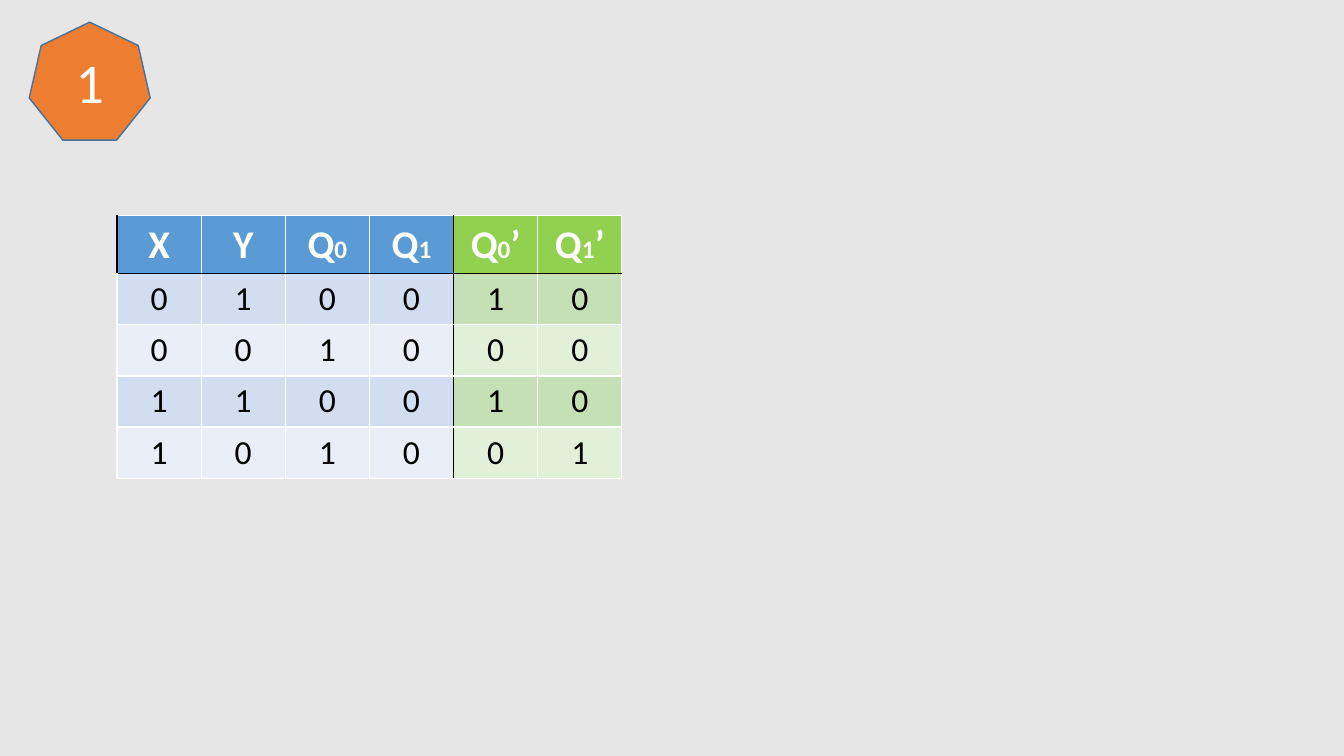
from lxml import etree
from pptx import Presentation
from pptx.dml.color import RGBColor
from pptx.enum.shapes import MSO_SHAPE
from pptx.enum.text import MSO_ANCHOR, PP_ALIGN
from pptx.oxml.ns import qn
from pptx.util import Inches, Pt

HEPTAGON = MSO_SHAPE.HEPTAGON
MIDDLE = MSO_ANCHOR.MIDDLE
CENTER = PP_ALIGN.CENTER

COLORS = {
    "background": "E7E6E6",
    "white": "FFFFFF",
    "black": "000000",
    "badge": "ED7D31",
    "badge_line": "43739E",
}
INPUT_FILLS = ["5B9BD5", "D2DEEF", "EAEFF7"]
OUTPUT_FILLS = ["92D050", "C5E0B4", "E2F0D9"]
INPUT_COUNT = 4

HEADERS = ["X", "Y", "Q0", "Q1", "Q0’", "Q1’"]
STATES = ["010010", "001000", "110010", "101001"]

HEADER_FONT = {"name": "Calibri", "size": Pt(28), "bold": True}
INDEX_FONT = {**HEADER_FONT, "size": Pt(18)}
BODY_FONT = {"name": "Calibri", "size": Pt(24), "bold": False}
BADGE_FONT = {"name": "Calibri", "size": Pt(40), "bold": False}


def set_fill(fill, color):
    fill.solid()
    fill.fore_color.rgb = RGBColor.from_string(color)


def add_run(p, text, font, color):
    p.alignment = CENTER
    r = p.add_run()
    r.text = text
    for name, value in font.items():
        setattr(r.font, name, value)
    r.font.color.rgb = RGBColor.from_string(color)


def set_borders(cell, colors):
    tc_pr = cell._tc.get_or_add_tcPr()
    for i, (side, color) in enumerate(colors.items()):
        ln = etree.Element(qn(f"a:ln{side}"), w=str(Pt(1)))
        solid = etree.SubElement(ln, qn("a:solidFill"))
        etree.SubElement(solid, qn("a:srgbClr"), val=color)
        tc_pr.insert(i, ln)


def border_colors(row, col):
    black_sides = {
        "L": col == INPUT_COUNT or (row == 0 and col == 0),
        "R": col == INPUT_COUNT - 1,
        "T": row == 1,
        "B": row == 0,
    }
    return {side: COLORS["black" if black else "white"]
            for side, black in black_sides.items()}


def add_state_table(s):
    rows = [HEADERS, *STATES]
    frame = s.shapes.add_table(len(rows), len(HEADERS), Inches(1.16),
                               Inches(2.14), Inches(5.01), Inches(2.37))
    table = frame.table
    for column in table.columns:
        column.width = Inches(0.835)
    for i, values in enumerate(rows):
        table.rows[i].height = Inches(0.46 if i else 0.53)
        shade = 2 - i % 2 if i else 0
        for j, text in enumerate(values):
            cell = table.cell(i, j)
            fills = INPUT_FILLS if j < INPUT_COUNT else OUTPUT_FILLS
            set_fill(cell.fill, fills[shade])
            set_borders(cell, border_colors(i, j))
            p = cell.text_frame.paragraphs[0]
            if i:
                add_run(p, text, BODY_FONT, COLORS["black"])
                continue
            for char in text:
                font = INDEX_FONT if char.isdigit() else HEADER_FONT
                add_run(p, char, font, COLORS["white"])


def add_badge(s, text):
    sp = s.shapes.add_shape(HEPTAGON, Inches(0.29), Inches(0.22),
                            Inches(1.2), Inches(1.17))
    sp.shadow.inherit = False
    set_fill(sp.fill, COLORS["badge"])
    sp.line.color.rgb = RGBColor.from_string(COLORS["badge_line"])
    sp.line.width = Pt(1)
    tf = sp.text_frame
    tf.vertical_anchor = MIDDLE
    add_run(tf.paragraphs[0], text, BADGE_FONT, COLORS["white"])


def main():
    prs = Presentation()
    prs.slide_width = Inches(13.33)
    prs.slide_height = Inches(7.5)
    s = prs.slides.add_slide(prs.slide_layouts[6])
    set_fill(s.background.fill, COLORS["background"])
    add_state_table(s)
    add_badge(s, "1")
    prs.save("out.pptx")


if __name__ == "__main__":
    main()
